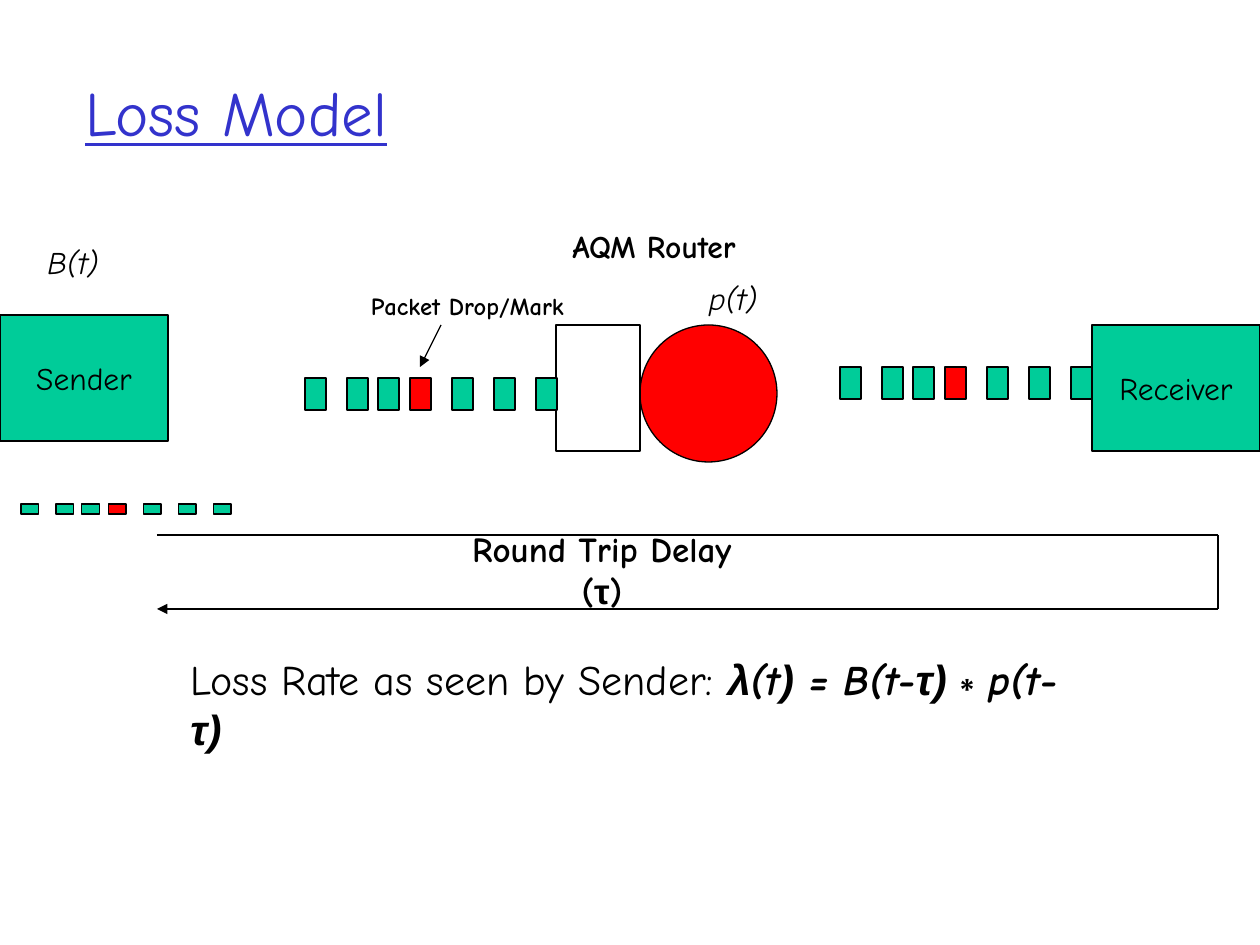
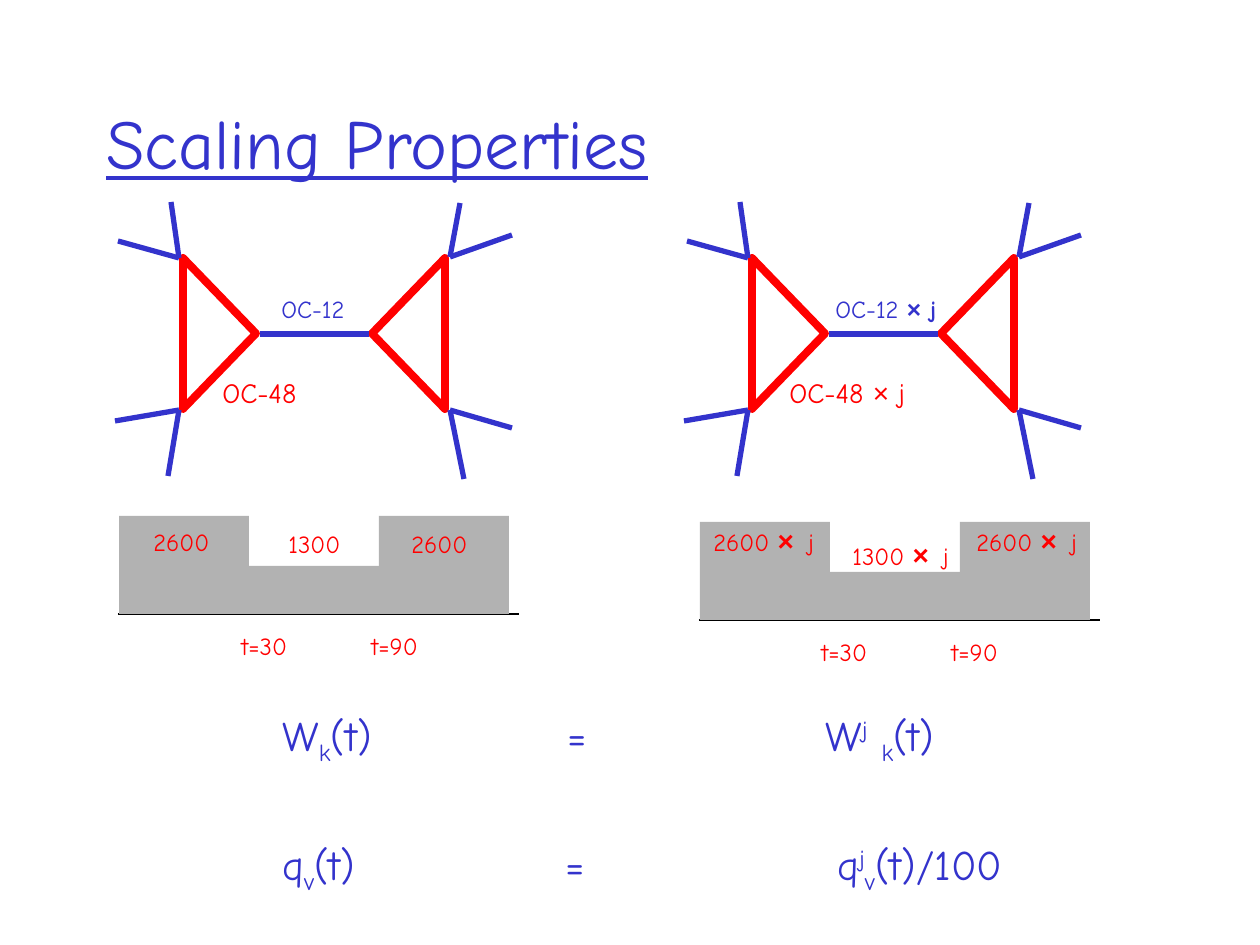
from lxml import etree
from pptx import Presentation
from pptx.dml.color import RGBColor
from pptx.enum.shapes import MSO_CONNECTOR, MSO_SHAPE
from pptx.enum.text import MSO_ANCHOR, PP_ALIGN
from pptx.oxml.ns import qn
from pptx.util import Pt

EMU_PER_PX = 914400 / 126
FONT, SYMBOL_FONT = "Comic Neue", "Arial"
BLUE = RGBColor(0x33, 0x33, 0xCC)
RED = RGBColor(0xFF, 0x00, 0x00)
GREEN = RGBColor(0x00, 0xCC, 0x99)
GRAY = RGBColor(0xB2, 0xB2, 0xB2)
BLACK = RGBColor(0x00, 0x00, 0x00)
STRAIGHT = MSO_CONNECTOR.STRAIGHT
RECTANGLE, OVAL = MSO_SHAPE.RECTANGLE, MSO_SHAPE.OVAL
TRIANGLE = MSO_SHAPE.ISOSCELES_TRIANGLE
TOP, MIDDLE = MSO_ANCHOR.TOP, MSO_ANCHOR.MIDDLE
LEFT, CENTER = PP_ALIGN.LEFT, PP_ALIGN.CENTER

SYMBOL = {"font": SYMBOL_FONT}
STRONG = {"bold": True, "italic": True}
STRONG_SYMBOL = {**STRONG, **SYMBOL}
SUB, SUPER = {"baseline": -25000}, {"baseline": 30000}

PACKET_OFFSETS = [0, 42, 73, 105, 147, 189, 231]
PACKET_WIDTH = 21
MARKED_PACKET = 3
PACKET_ROWS = [
    (21, 504, 10, 5 / 6),
    (305, 378, 32, 1),
    (840, 367, 32, 1),
]
HOSTS = [("Sender", 0, 315), ("Receiver", 1092, 325)]
LOSS_LABELS = [
    ((559, 221, 190, 50), [("AQM Router", {})], {"size": 18, "bold": True}),
    ((358, 284, 219, 43), [("Packet Drop/Mark", {})], {"size": 14, "bold": True}),
    ((13, 237, 120, 50), [("B(t)", {})], {"size": 18, "italic": True}),
    ((673, 273, 120, 50), [("p(t)", {})], {"size": 18, "italic": True}),
    ((452, 542, 300, 55),
     [("Round Trip Delay (", {}), ("τ", SYMBOL), (")", {})],
     {"size": 20, "bold": True, "wrap": True}),
]
LOSS_RATE = [
    ("Loss Rate as seen by Sender: ", {}),
    ("λ", STRONG_SYMBOL),
    ("(t", STRONG),
    (")", STRONG_SYMBOL),
    (" = B(t-", STRONG),
    ("τ)∗", STRONG_SYMBOL),
    ("p(t-", STRONG),
    ("τ)", STRONG_SYMBOL),
]
DELAY_PATH = [(157, 535), (1218, 535), (1218, 609), (157, 609)]

SPOKES = [
    ((179, 258), [(118, 241), (171, 202)]),
    ((179, 410), [(115, 421), (168, 476)]),
    ((450, 257), [(512, 235), (460, 203)]),
    ((450, 410), [(512, 428), (464, 479)]),
]
LINK = ((260, 334), (369, 334))
TRIANGLES = [(144, 90), (333, 270)]
NETWORK_SHIFT = 569
NETWORK_LABELS = [
    ((210, 369, 100, 47), [("OC-48", {})], 16, RED),
    ((269, 288, 90, 42), [("OC-12", {})], 14, BLUE),
    ((777, 369, 147, 47), [("OC-48 ", {}), ("×", SYMBOL), (" j", {})], 16, RED),
    ((823, 288, 132, 42),
     [("OC-12 ", {}), ("×", {**SYMBOL, "bold": True}), (" j", {"bold": True})],
     14, BLUE),
]

BAR_WIDTH = 130
BAR_HEIGHTS = [98, 48, 98]
LOADS = [
    (119, 614, [("t=30", 110), ("t=90", 240)],
     [("2600", 141, 521, 82), ("1300", 276, 523, 78), ("2600", 399, 523, 89)], False),
    (700, 620, [("t=30", 109), ("t=90", 239)],
     [("2600", 701, 503, 132), ("1300", 840, 517, 127), ("2600", 964, 503, 132)], True),
]
EQUATIONS = [
    ([285, 543], [
        ("W", {}), ("k", SUB), ("(t)\t=\tW", {}),
        ("j", SUPER), (" ", {}), ("k", SUB), ("(t)", {})]),
    ([283, 555], [
        ("q", {}), ("v", SUB), ("(t)\t=\tq", {}),
        ("j", SUPER), ("v", SUB), ("(t)/100", {})]),
]


def emu(px):
    return round(px * EMU_PER_PX)


def add_spans(para, spans, size, color=BLACK, **base):
    for text, changes in spans:
        style = {"size": size, **base, **changes}
        span = para.add_run()
        span.text = text
        span.font.name = style.get("font", FONT)
        span.font.size = Pt(style["size"])
        span.font.color.rgb = color
        span.font.bold = style.get("bold", False)
        span.font.italic = style.get("italic", False)
        span.font.underline = style.get("underline", False)
        if "baseline" in style:
            span._r.get_or_add_rPr().set("baseline", str(style["baseline"]))


def add_text(page, area, spans, size, color=BLACK, align=LEFT, anchor=TOP,
             wrap=False, **base):
    box = page.shapes.add_textbox(*map(emu, area))
    frame = box.text_frame
    frame.word_wrap = wrap
    frame.vertical_anchor = anchor
    para = frame.paragraphs[0]
    para.alignment = align
    add_spans(para, spans, size, color, **base)
    return frame


def add_figure(page, kind, area, fill=None, line=BLACK, weight=0.75):
    figure = page.shapes.add_shape(kind, *map(emu, area))
    figure.shadow.inherit = False
    if fill is None:
        figure.fill.background()
    else:
        figure.fill.solid()
        figure.fill.fore_color.rgb = fill
    if line is None:
        figure.line.fill.background()
    else:
        figure.line.color.rgb = line
        figure.line.width = Pt(weight)
    return figure


def add_line(page, start, end, color=BLACK, weight=0.75, arrow=False):
    line = page.shapes.add_connector(STRAIGHT, *map(emu, (*start, *end)))
    line.line.color.rgb = color
    line.line.width = Pt(weight)
    if arrow:
        etree.SubElement(line.line._get_or_add_ln(), qn("a:tailEnd"), type="triangle")
    etree.SubElement(line._element.spPr, qn("a:effectLst"))


def add_page(deck, title, left, top, size):
    page = deck.slides.add_slide(deck.slide_layouts[6])
    add_text(page, (left, top, 1071, 158), [(title, {})], size, BLUE,
             anchor=MIDDLE, wrap=True, underline=True)
    return page


def add_packets(page, left, top, height, scale):
    for index, offset in enumerate(PACKET_OFFSETS):
        area = (left + offset * scale, top, PACKET_WIDTH * scale, height)
        add_figure(page, RECTANGLE, area, RED if index == MARKED_PACKET else GREEN)


def add_network(page, shift):
    for left, angle in TRIANGLES:
        triangle = add_figure(page, TRIANGLE, (left + shift, 297, 151, 73),
                              line=RED, weight=4.5)
        triangle.rotation = angle
    segments = [LINK] + [(hub, tip) for hub, tips in SPOKES for tip in tips]
    for (x1, y1), (x2, y2) in segments:
        add_line(page, (x1 + shift, y1), (x2 + shift, y2), BLUE, 3)


def add_load(page, left, base, times, amounts, scaled):
    add_line(page, (left - 1, base), (left + 400, base))
    for index, height in enumerate(BAR_HEIGHTS):
        area = (left + index * BAR_WIDTH, base - height, BAR_WIDTH, height)
        add_figure(page, RECTANGLE, area, GRAY, None)
    for text, offset in times:
        add_text(page, (left + offset, base + 11, 72, 42), [(text, {})], 14, RED)
    for text, x, y, width in amounts:
        spans = [(text, {})]
        if scaled:
            spans = [(text + " ", {}), ("×", {**SYMBOL, "size": 16, "bold": True}),
                     (" ", {"size": 24}), ("j", {})]
        add_text(page, (x, y, width, 63 if scaled else 42), spans, 14, RED)


def set_tabs(para, stops):
    tabs = etree.SubElement(para._p.get_or_add_pPr(), qn("a:tabLst"))
    for stop in stops:
        etree.SubElement(tabs, qn("a:tab"), pos=str(emu(stop)), algn="l")


def build_loss_model(deck):
    page = add_page(deck, "Loss Model", 73, 32, 36)
    add_figure(page, OVAL, (640, 325, 137, 137), RED)
    add_figure(page, RECTANGLE, (556, 325, 84, 126))
    for row in PACKET_ROWS:
        add_packets(page, *row)
    for name, left, top in HOSTS:
        host = add_figure(page, RECTANGLE, (left, top, 168, 126), GREEN)
        host.text_frame.word_wrap = False
        host.text_frame.vertical_anchor = MIDDLE
        para = host.text_frame.paragraphs[0]
        para.alignment = CENTER
        add_spans(para, [(name, {})], 18)
    for area, spans, style in LOSS_LABELS:
        add_text(page, area, spans, align=CENTER, anchor=MIDDLE, **style)
    add_text(page, (178, 672, 912, 63), LOSS_RATE, 24, anchor=MIDDLE, wrap=True)
    add_line(page, (441, 325), (420, 367), arrow=True)
    for start, end in zip(DELAY_PATH, DELAY_PATH[1:]):
        add_line(page, start, end, arrow=end == DELAY_PATH[-1])


def build_scaling(deck):
    page = add_page(deck, "Scaling Properties", 94, 62, 40)
    for load in LOADS:
        add_load(page, *load)
    for shift in (0, NETWORK_SHIFT):
        add_network(page, shift)
    for label in NETWORK_LABELS:
        add_text(page, *label)
    (stops, spans), (next_stops, next_spans) = EQUATIONS
    frame = add_text(page, (270, 703, 780, 199), spans, 24, BLUE, wrap=True)
    set_tabs(frame.paragraphs[0], stops)
    para = frame.add_paragraph()
    para.space_before = Pt(41)
    set_tabs(para, next_stops)
    add_spans(para, next_spans, 24, BLUE)


def main():
    deck = Presentation()
    deck.slide_width, deck.slide_height = emu(1260), emu(945)
    build_loss_model(deck)
    build_scaling(deck)
    deck.save("out.pptx")


if __name__ == "__main__":
    main()
